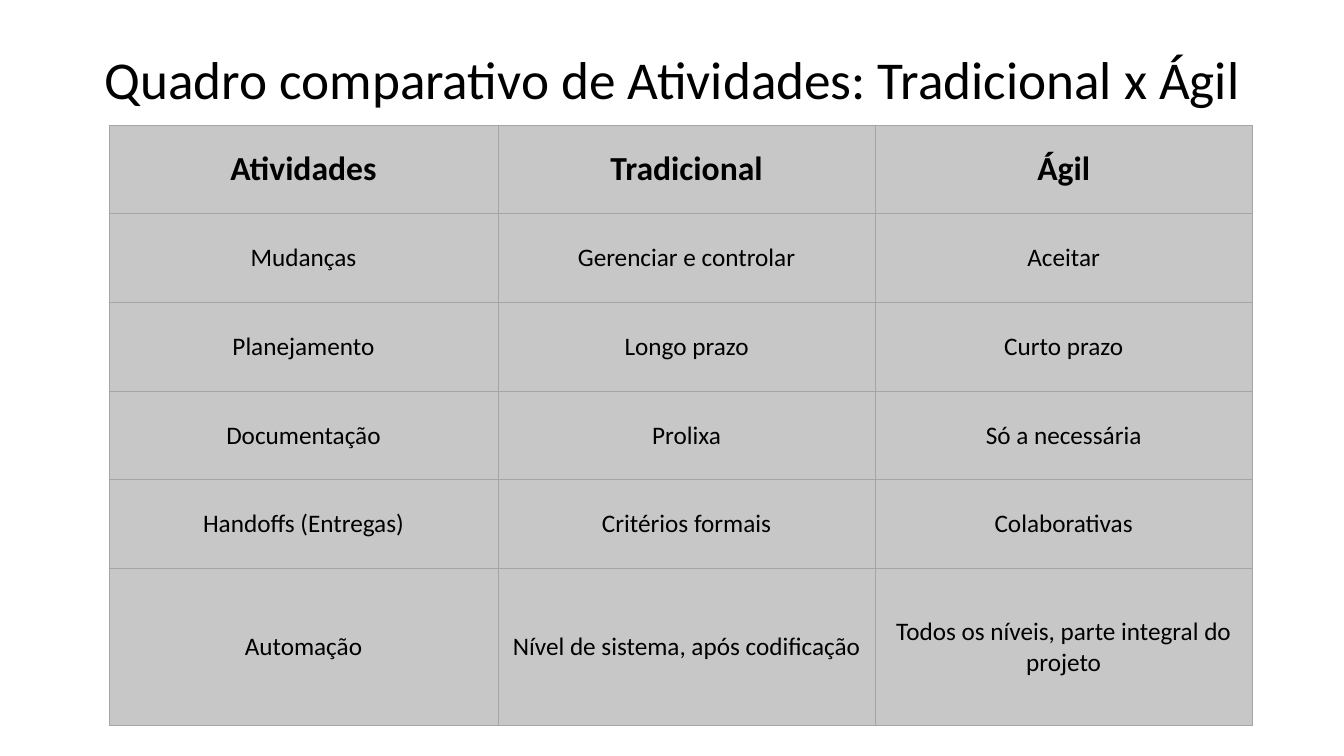
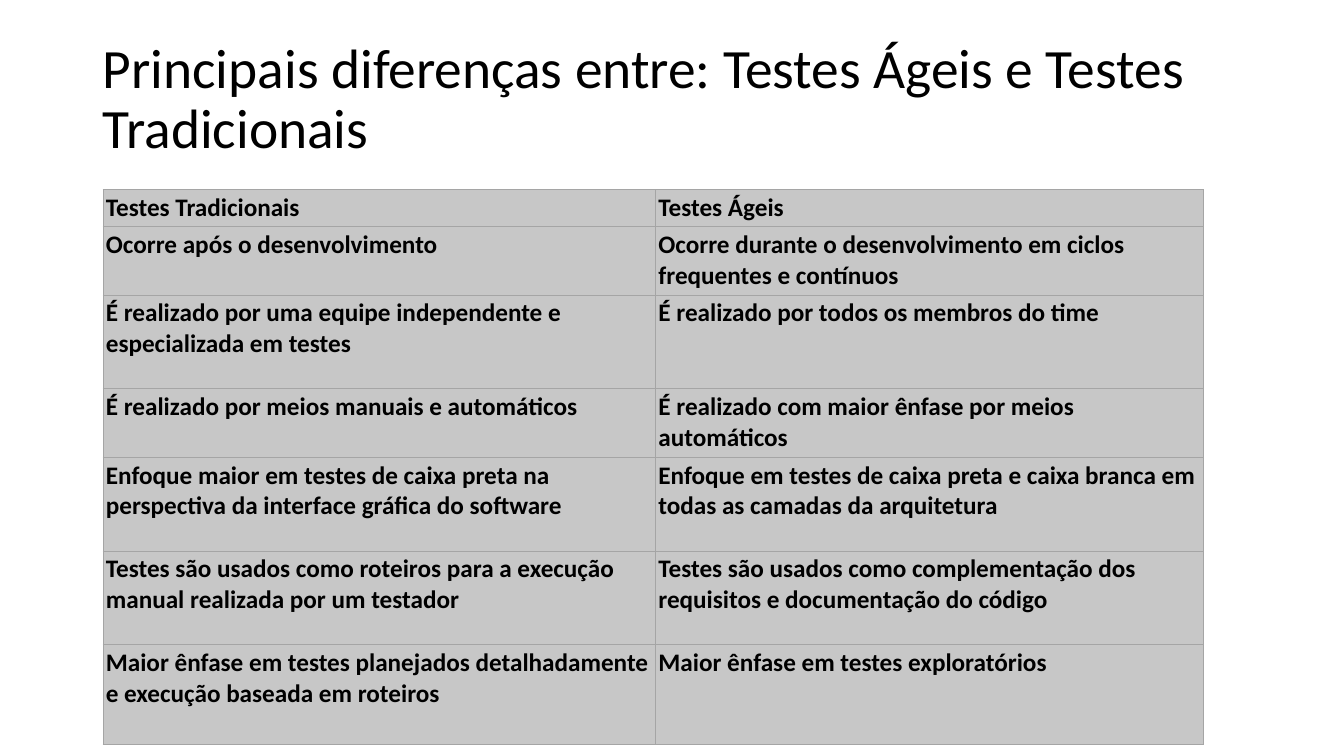
from dataclasses import dataclass

from lxml import etree
from pptx import Presentation
from pptx.dml.color import RGBColor
from pptx.enum import text
from pptx.oxml import ns
from pptx.util import Inches, Pt


@dataclass(frozen=True)
class Theme:
    font: str = "Calibri"
    ink: str = "000000"
    cell: str = "C7C7C7"
    border: str = "A5A5A5"
    border_width: float = 0.5
    header_size: float = 24
    body_size: float = 18
    title_spacing: float = 0.9


THEME = Theme()
LEFT, CENTER = text.PP_ALIGN.LEFT, text.PP_ALIGN.CENTER
TOP, MIDDLE = text.MSO_ANCHOR.TOP, text.MSO_ANCHOR.MIDDLE

# Content: one entry per slide
COMPARISONS = [
    dict(
        title="Quadro comparativo de Atividades: Tradicional x Ágil",
        title_box=(0.92, 0.4, 11.5, 0.84), title_size=38,
        origin=(1.08, 1.24), columns=[3.86, 3.74, 3.74],
        heights=[0.88] * 5 + [1.56],
        header_size=THEME.header_size, body_bold=False,
        align=CENTER, anchor=MIDDLE, inset=0.04,
        rows=[
            ("Atividades", "Tradicional", "Ágil"),
            ("Mudanças", "Gerenciar e controlar", "Aceitar"),
            ("Planejamento", "Longo prazo", "Curto prazo"),
            ("Documentação", "Prolixa", "Só a necessária"),
            ("Handoffs (Entregas)", "Critérios formais", "Colaborativas"),
            ("Automação", "Nível de sistema, após codificação",
             "Todos os níveis, parte integral do projeto"),
        ],
    ),
    dict(
        title="Principais diferenças entre: Testes Ágeis e Testes Tradicionais",
        title_box=(0.92, 0.4, 11.5, 1.2), title_size=39.6,
        origin=(1.02, 1.88), columns=[5.48, 5.43],
        heights=[0.36, 0.68, 0.93, 0.68, 0.93, 0.93, 0.99],
        header_size=THEME.body_size, body_bold=True,
        align=LEFT, anchor=TOP, inset=0.03,
        rows=[
            ("Testes Tradicionais", "Testes Ágeis"),
            ("Ocorre após o desenvolvimento",
             "Ocorre durante o desenvolvimento em ciclos frequentes e contínuos"),
            ("É realizado por uma equipe independente e especializada em testes",
             "É realizado por todos os membros do time"),
            ("É realizado por meios manuais e automáticos",
             "É realizado com maior ênfase por meios automáticos"),
            ("Enfoque maior em testes de caixa preta na perspectiva da interface gráfica do software",
             "Enfoque em testes de caixa preta e caixa branca em todas as camadas da arquitetura"),
            ("Testes são usados como roteiros para a execução manual realizada por um testador",
             "Testes são usados como complementação dos requisitos e documentação do código"),
            ("Maior ênfase em testes planejados detalhadamente e execução baseada em roteiros",
             "Maior ênfase em testes exploratórios"),
        ],
    ),
]


def write(frame, content, size, bold=False, align=LEFT, spacing=None):
    frame.word_wrap = True
    paragraph = frame.paragraphs[0]
    paragraph.alignment = align
    paragraph.line_spacing = spacing
    run = paragraph.add_run()
    run.text = content
    run.font.name = THEME.font
    run.font.size = Pt(size)
    run.font.bold = bold
    run.font.color.rgb = RGBColor.from_string(THEME.ink)


def add_title(slide, item):
    title = slide.shapes.title
    title.left, title.top, title.width, title.height = map(Inches, item["title_box"])
    frame = title.text_frame
    frame.auto_size = text.MSO_AUTO_SIZE.NONE
    frame.vertical_anchor = MIDDLE
    write(frame, item["title"], item["title_size"], align=item["align"],
          spacing=THEME.title_spacing)


def style_cell(cell, anchor, inset):
    cell.vertical_anchor = anchor
    cell.margin_left = cell.margin_right = Inches(inset)
    cell.margin_top = cell.margin_bottom = Inches(inset)
    # Borders come before the fill in the cell properties
    properties = cell._tc.get_or_add_tcPr()
    for side in ("a:lnL", "a:lnR", "a:lnT", "a:lnB"):
        line = etree.SubElement(properties, ns.qn(side), w=str(Pt(THEME.border_width)))
        fill = etree.SubElement(line, ns.qn("a:solidFill"))
        etree.SubElement(fill, ns.qn("a:srgbClr"), val=THEME.border)
    cell.fill.solid()
    cell.fill.fore_color.rgb = RGBColor.from_string(THEME.cell)


def add_comparison(slide, item):
    rows, columns, heights = item["rows"], item["columns"], item["heights"]
    left, top = item["origin"]
    table = slide.shapes.add_table(
        len(rows), len(columns), Inches(left), Inches(top),
        Inches(sum(columns)), Inches(sum(heights))).table
    table.first_row = table.horz_banding = False
    for column, width in zip(table.columns, columns):
        column.width = Inches(width)
    for r, (entries, height) in enumerate(zip(rows, heights)):
        table.rows[r].height = Inches(height)
        header = r == 0
        for c, entry in enumerate(entries):
            cell = table.cell(r, c)
            style_cell(cell, item["anchor"], item["inset"])
            write(cell.text_frame, entry,
                  item["header_size"] if header else THEME.body_size,
                  bold=header or item["body_bold"], align=item["align"])


def main():
    deck = Presentation()
    deck.slide_width, deck.slide_height = Inches(13.33), Inches(7.5)
    title_only = deck.slide_layouts[5]
    for item in COMPARISONS:
        slide = deck.slides.add_slide(title_only)
        add_title(slide, item)
        add_comparison(slide, item)
    deck.save("out.pptx")


if __name__ == "__main__":
    main()
